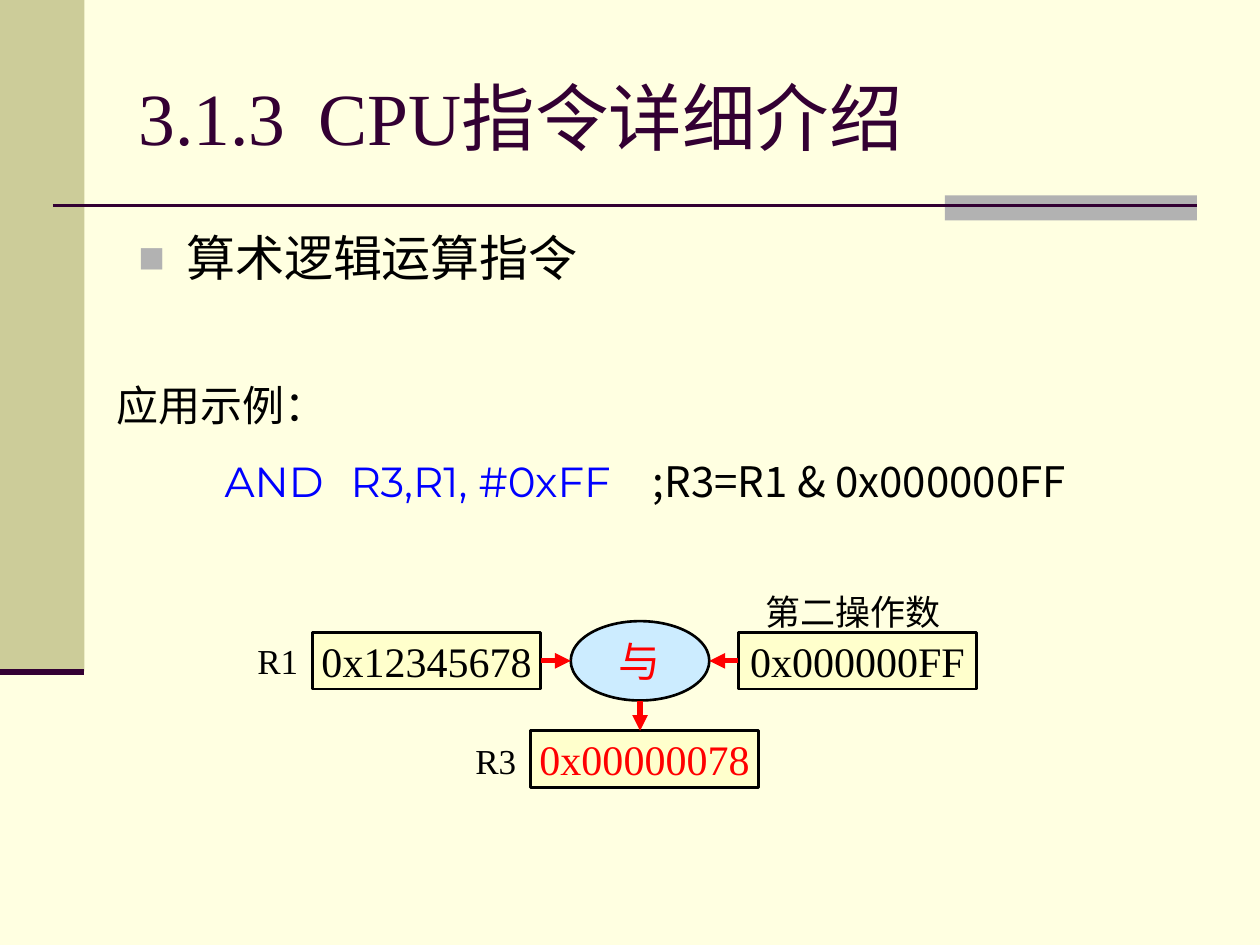
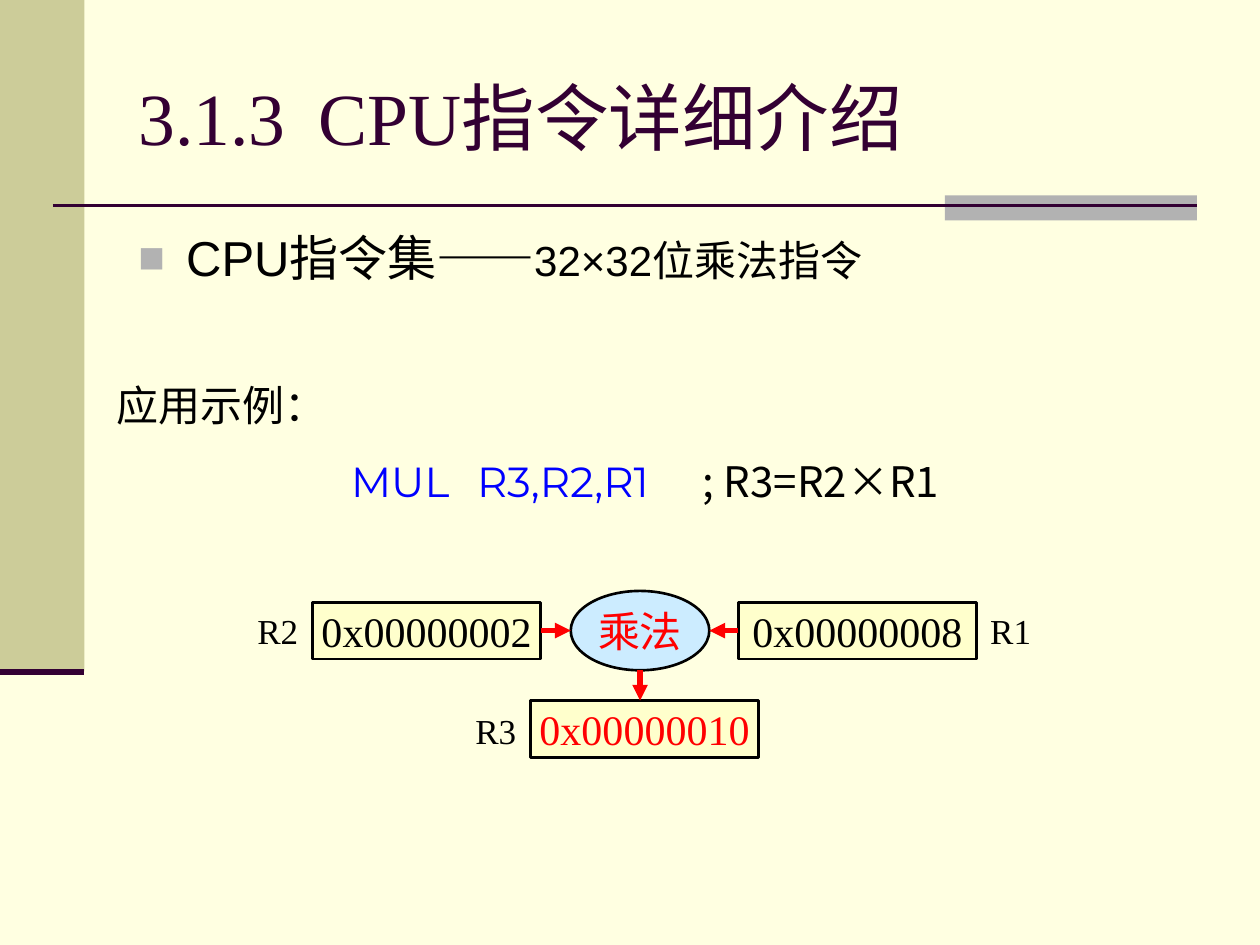
"""Build two slides showing how an AND and a MUL instruction work."""
from lxml import etree
from pptx import Presentation
from pptx.dml.color import RGBColor
from pptx.enum.shapes import MSO_CONNECTOR, MSO_SHAPE
from pptx.enum.text import MSO_ANCHOR, PP_ALIGN
from pptx.oxml.ns import qn
from pptx.util import Inches, Pt

STRAIGHT = MSO_CONNECTOR.STRAIGHT
RECT, OVAL = MSO_SHAPE.RECTANGLE, MSO_SHAPE.OVAL
TOP, MIDDLE = MSO_ANCHOR.TOP, MSO_ANCHOR.MIDDLE
LEFT, CENTER, JUSTIFY = PP_ALIGN.LEFT, PP_ALIGN.CENTER, PP_ALIGN.JUSTIFY
SIDE_LEFT, SIDE_RIGHT = 1, 3

COLORS = {
    "background": "FFFFE1", "band": "CCCC99", "accent": "B2B2B2",
    "title": "330033", "text": "000000", "code": "0000FF",
    "result": "FF0000", "box": "FFFFCC", "operator": "CCECFF",
}
SERIF, SANS, CODE, COMMENT = (
    "Times New Roman", "Arial", "Montserrat", "Noto Sans CJK JP")
TITLE = "3.1.3\tCPU指令详细介绍"


def rgb(name):
    """Return the named colour."""
    return RGBColor.from_string(COLORS[name])


def add_run(p, text, size, font, color="text"):
    """Add one formatted run to a paragraph."""
    r = p.add_run()
    r.text = text
    r.font.size = Pt(size)
    r.font.name = font
    r.font.color.rgb = rgb(color)


def add_tabs(p, stops):
    """Set left tab stops, given in inches."""
    tabs = etree.SubElement(p._p.get_or_add_pPr(), qn("a:tabLst"))
    for stop in stops:
        etree.SubElement(tabs, qn("a:tab"), pos=str(Inches(stop)), algn="l")


def add_bullet(p):
    """Give a paragraph a square bullet with a hanging indent."""
    pPr = p._p.get_or_add_pPr()
    pPr.set("marL", str(Inches(0.38)))
    pPr.set("indent", str(-Inches(0.38)))
    clr = etree.SubElement(pPr, qn("a:buClr"))
    etree.SubElement(clr, qn("a:srgbClr"), val=COLORS["accent"])
    etree.SubElement(pPr, qn("a:buSzPct"), val="90000")
    etree.SubElement(pPr, qn("a:buFont"), typeface=SANS)
    etree.SubElement(pPr, qn("a:buChar"), char="■")


def add_text(slide, x, y, w, h, anchor=TOP, wrap=True):
    """Add a text box and return its text frame."""
    sp = slide.shapes.add_textbox(Inches(x), Inches(y), Inches(w), Inches(h))
    tf = sp.text_frame
    tf.word_wrap = wrap
    tf.vertical_anchor = anchor
    return tf


def add_block(slide, kind, x, y, w, h, fill, outlined=False):
    """Add a filled preset shape, outlined on request."""
    sp = slide.shapes.add_shape(
        kind, Inches(x), Inches(y), Inches(w), Inches(h))
    sp.shadow.inherit = False
    sp.fill.solid()
    sp.fill.fore_color.rgb = rgb(fill)
    if outlined:
        sp.line.color.rgb = rgb("text")
        sp.line.width = Pt(1.5)
    else:
        sp.line.fill.background()
    return sp


def add_node(slide, kind, x, y, w, h, text, fill="box", color="text"):
    """Add an outlined diagram shape with centred text."""
    sp = add_block(slide, kind, x, y, w, h, fill, outlined=True)
    tf = sp.text_frame
    tf.word_wrap = False
    tf.vertical_anchor = MIDDLE
    p = tf.paragraphs[0]
    p.alignment = CENTER
    add_run(p, text, 24, SERIF, color)
    return sp


def add_label(slide, x, y, w, text, align=CENTER):
    """Add a small label beside a diagram box."""
    p = add_text(slide, x, y, w, 0.47, MIDDLE, wrap=False).paragraphs[0]
    p.alignment = align
    add_run(p, text, 20, SERIF)


def add_line(slide, x1, y1, x2, y2, color, width):
    """Add a straight line without a shadow."""
    line = slide.shapes.add_connector(
        STRAIGHT, Inches(x1), Inches(y1), Inches(x2), Inches(y2))
    line.line.color.rgb = rgb(color)
    line.line.width = Pt(width)
    etree.SubElement(line._element.spPr, qn("a:effectLst"))
    return line


def add_arrow(slide, x1, y1, x2, y2):
    """Add a red line with an arrowhead at its end."""
    arrow = add_line(slide, x1, y1, x2, y2, "result", 3)
    etree.SubElement(arrow.line._get_or_add_ln(), qn("a:tailEnd"),
                     type="triangle")
    return arrow


def add_frame(prs):
    """Add a slide with the shared bands, rules and title."""
    slide = prs.slides.add_slide(prs.slide_layouts[6])
    add_block(slide, RECT, 0, 0, 0.67, 5.33, "band")
    add_block(slide, RECT, 7.5, 1.55, 2, 0.2, "accent")
    add_line(slide, 0.42, 1.63, 9.5, 1.63, "title", 1.5)
    add_line(slide, 0, 5.33, 0.67, 5.33, "title", 3.5)
    p = add_text(slide, 1, 0.3, 8.5, 1.25, MIDDLE).paragraphs[0]
    add_tabs(p, [1.43])
    add_run(p, TITLE, 42, SERIF, "title")
    return slide


def add_topic(slide, *parts):
    """Add the bulleted topic from pairs of text and size."""
    p = add_text(slide, 1, 1.76, 8.5, 0.82).paragraphs[0]
    add_bullet(p)
    for text, size in parts:
        add_run(p, text, size, SANS)


def add_example(slide, code, comment, comment_stop):
    """Add the example heading and its commented instruction."""
    tf = add_text(slide, 0.83, 2.96, 8.58, 1.11)
    p = tf.paragraphs[0]
    p.alignment = JUSTIFY
    add_run(p, "应用示例：", 24, CODE)
    p = tf.add_paragraph()
    add_tabs(p, [1, comment_stop])
    p.alignment = CENTER
    p.space_before = Pt(15)
    add_run(p, code + "\t", 24, CODE, "code")
    add_run(p, comment, 24, COMMENT)


def add_diagram(slide, top, left, operator, right, result):
    """Draw two operands feeding an operator that gives a result."""
    box_top, box_h, oval_h = top + 0.09, 0.45, 0.63
    middle, bottom, result_top = top + oval_h / 2, top + oval_h, top + 0.87
    left_box = add_node(slide, RECT, 2.48, box_top, 1.81, box_h, left)
    right_box = add_node(slide, RECT, 5.86, box_top, 1.89, box_h, right)
    add_node(slide, OVAL, 4.53, top, 1.1, oval_h, operator,
             "operator", "result")
    add_node(slide, RECT, 4.21, result_top, 1.81, box_h, result,
             color="result")
    add_label(slide, 3.58, result_top, 0.71, "R3")
    arrow = add_arrow(slide, 4.29, middle, 4.53, middle)
    arrow.begin_connect(left_box, SIDE_RIGHT)
    arrow = add_arrow(slide, 5.86, middle, 5.63, middle)
    arrow.begin_connect(right_box, SIDE_LEFT)
    add_arrow(slide, 5.08, bottom, 5.08, result_top)


def add_and_slide(prs):
    """Add the slide on the AND instruction."""
    slide = add_frame(prs)
    add_topic(slide, ("算术逻辑运算指令", 28))
    add_example(slide, "AND\tR3,R1, #0xFF", ";R3=R1 & 0x000000FF", 3.4)
    add_diagram(slide, 4.93, "0x12345678", "与", "0x000000FF", "0x00000078")
    add_label(slide, 1.85, 5.01, 0.71, "R1")
    add_label(slide, 5.92, 4.62, 1.7, "第二操作数")


def add_mul_slide(prs):
    """Add the slide on the MUL instruction."""
    slide = add_frame(prs)
    add_topic(slide, ("CPU指令集——", 28), ("32×32位乘法指令", 24))
    add_example(slide, "MUL\tR3,R2,R1", "; R3=R2×R1", 2.79)
    add_diagram(slide, 4.69, "0x00000002", "乘法", "0x00000008", "0x00000010")
    add_label(slide, 1.85, 4.77, 0.71, "R2")
    add_label(slide, 7.76, 4.77, 0.79, "R1", LEFT)


def main():
    """Build and save the presentation."""
    prs = Presentation()
    prs.slide_width, prs.slide_height = Inches(10), Inches(7.5)
    fill = prs.slide_master.background.fill
    fill.solid()
    fill.fore_color.rgb = rgb("background")
    add_and_slide(prs)
    add_mul_slide(prs)
    prs.save("out.pptx")


if __name__ == "__main__":
    main()
